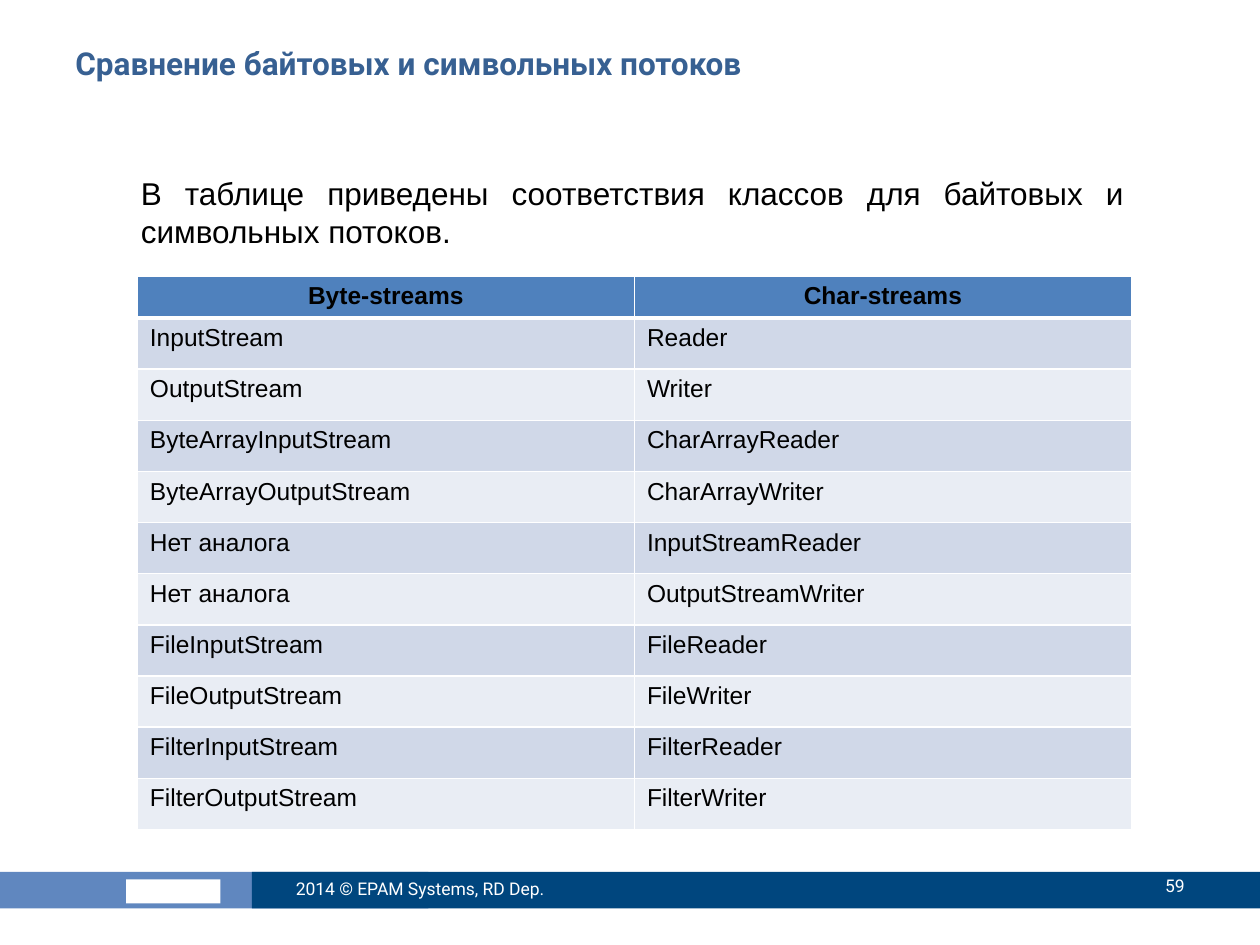
"""Builds a slide comparing byte and character stream classes in a table."""

from dataclasses import dataclass

from lxml.etree import SubElement
from pptx import Presentation
from pptx.dml.color import RGBColor
from pptx.enum.shapes import MSO_SHAPE
from pptx.enum.text import MSO_ANCHOR, PP_ALIGN
from pptx.oxml.ns import qn
from pptx.util import Inches, Pt


@dataclass(frozen=True)
class Theme:
    title: str = "376092"
    ink: str = "000000"
    white: str = "FFFFFF"
    header: str = "4F81BD"
    bands: tuple = ("D0D8E8", "E9EDF4")
    footer_light: str = "6087BF"
    footer_dark: str = "00467E"
    heading_font: str = "Roboto"
    body_font: str = "Arial"
    large: int = 18
    medium: int = 14
    small: int = 10
    thin_line: int = 1
    thick_line: int = 3


THEME = Theme()
COLUMNS, ROWS = 100, 75
CELL = Inches(0.1)


@dataclass(frozen=True)
class Area:
    column: float
    row: float
    columns: float
    rows: float

    def lengths(self) -> tuple:
        return tuple(round(CELL * part) for part in (self.column, self.row, self.columns, self.rows))


@dataclass(frozen=True)
class Bar:
    area: Area
    color: str


@dataclass(frozen=True)
class Style:
    font: str
    size: int
    color: str
    bold: bool = False
    align: PP_ALIGN = PP_ALIGN.LEFT


@dataclass(frozen=True)
class Label:
    text: str
    area: Area
    style: Style
    anchor: MSO_ANCHOR = MSO_ANCHOR.TOP


@dataclass(frozen=True)
class StreamPair:
    byte_stream: str
    char_stream: str


BARS = (
    Bar(Area(0, 69.2, 34, 2.9), THEME.footer_light),
    Bar(Area(10, 69.8, 7.5, 1.9), THEME.white),
    Bar(Area(20, 69.2, 80, 2.9), THEME.footer_dark),
)

LABELS = (
    Label("Сравнение байтовых и символьных потоков", Area(5, 3, 90, 7.8),
          Style(THEME.heading_font, THEME.large, THEME.title, bold=True)),
    Label("В таблице приведены соответствия классов для байтовых и символьных потоков.",
          Area(10.2, 13.3, 80, 6.9),
          Style(THEME.body_font, THEME.large, THEME.ink, align=PP_ALIGN.JUSTIFY)),
    Label("2014 © EPAM Systems, RD Dep.", Area(22.5, 68.5, 26.7, 4),
          Style(THEME.heading_font, THEME.small, THEME.white), MSO_ANCHOR.MIDDLE),
    Label("59", Area(84.2, 68.3, 10.8, 4),
          Style(THEME.heading_font, THEME.small, THEME.white, align=PP_ALIGN.RIGHT),
          MSO_ANCHOR.MIDDLE),
)

TABLE_AREA = Area(10.9, 21.9, 78.9, 43.9)
HEADER_ROWS = 3.3
HEADER = StreamPair("Byte-streams", "Char-streams")
PAIRS = (
    StreamPair("InputStream", "Reader"),
    StreamPair("OutputStream", "Writer"),
    StreamPair("ByteArrayInputStream", "CharArrayReader"),
    StreamPair("ByteArrayOutputStream", "CharArrayWriter"),
    StreamPair("Нет аналога", "InputStreamReader"),
    StreamPair("Нет аналога", "OutputStreamWriter"),
    StreamPair("FileInputStream", "FileReader"),
    StreamPair("FileOutputStream", "FileWriter"),
    StreamPair("FilterInputStream", "FilterReader"),
    StreamPair("FilterOutputStream", "FilterWriter"),
)
HEADER_STYLE = Style(THEME.body_font, THEME.medium, THEME.ink, bold=True, align=PP_ALIGN.CENTER)
CELL_STYLE = Style(THEME.body_font, THEME.medium, THEME.ink)


def write(frame, text: str, style: Style) -> None:
    """Put one styled paragraph into a text frame."""
    para = frame.paragraphs[0]
    para.text = text
    para.alignment = style.align
    font = para.font
    font.name, font.size, font.bold = style.font, Pt(style.size), style.bold
    font.color.rgb = RGBColor.from_string(style.color)


def draw_bar(page, bar: Bar) -> None:
    """Draw a plain filled rectangle."""
    shape = page.shapes.add_shape(MSO_SHAPE.RECTANGLE, *bar.area.lengths())
    shape.shadow.inherit = False
    shape.fill.solid()
    shape.fill.fore_color.rgb = RGBColor.from_string(bar.color)
    shape.line.fill.background()


def draw_label(page, label: Label) -> None:
    """Draw a wrapped text box."""
    frame = page.shapes.add_textbox(*label.area.lengths()).text_frame
    frame.word_wrap = True
    frame.vertical_anchor = label.anchor
    write(frame, label.text, label.style)


def add_borders(cell, top: int, bottom: int) -> None:
    """Give a table cell white borders, with widths in points."""
    properties = cell._tc.get_or_add_tcPr()
    widths = {"lnL": THEME.thin_line, "lnR": THEME.thin_line, "lnT": top, "lnB": bottom}
    for position, (side, width) in enumerate(widths.items()):
        line = SubElement(properties, qn(f"a:{side}"), w=str(Pt(width)))
        fill = SubElement(line, qn("a:solidFill"))
        SubElement(fill, qn("a:srgbClr"), val=THEME.white)
        properties.insert(position, line)


def draw_table(page, header: StreamPair, pairs: tuple) -> None:
    """Draw the header and the banded rows of stream classes."""
    table = page.shapes.add_table(len(pairs) + 1, 2, *TABLE_AREA.lengths()).table
    body_rows = (TABLE_AREA.rows - HEADER_ROWS) / len(pairs)
    for index, pair in enumerate((header, *pairs)):
        is_header = index == 0
        table.rows[index].height = round(CELL * (HEADER_ROWS if is_header else body_rows))
        color = THEME.header if is_header else THEME.bands[(index - 1) % 2]
        top = THEME.thick_line if index == 1 else THEME.thin_line
        bottom = THEME.thick_line if is_header else THEME.thin_line
        for cell, text in zip(table.rows[index].cells, (pair.byte_stream, pair.char_stream)):
            write(cell.text_frame, text, HEADER_STYLE if is_header else CELL_STYLE)
            cell.fill.solid()
            cell.fill.fore_color.rgb = RGBColor.from_string(color)
            add_borders(cell, top, bottom)


def main() -> None:
    """Build and save the deck."""
    deck = Presentation()
    deck.slide_width, deck.slide_height = CELL * COLUMNS, CELL * ROWS
    page = deck.slides.add_slide(deck.slide_layouts[6])
    for bar in BARS:
        draw_bar(page, bar)
    for label in LABELS:
        draw_label(page, label)
    draw_table(page, HEADER, PAIRS)
    deck.save("out.pptx")


if __name__ == "__main__":
    main()
